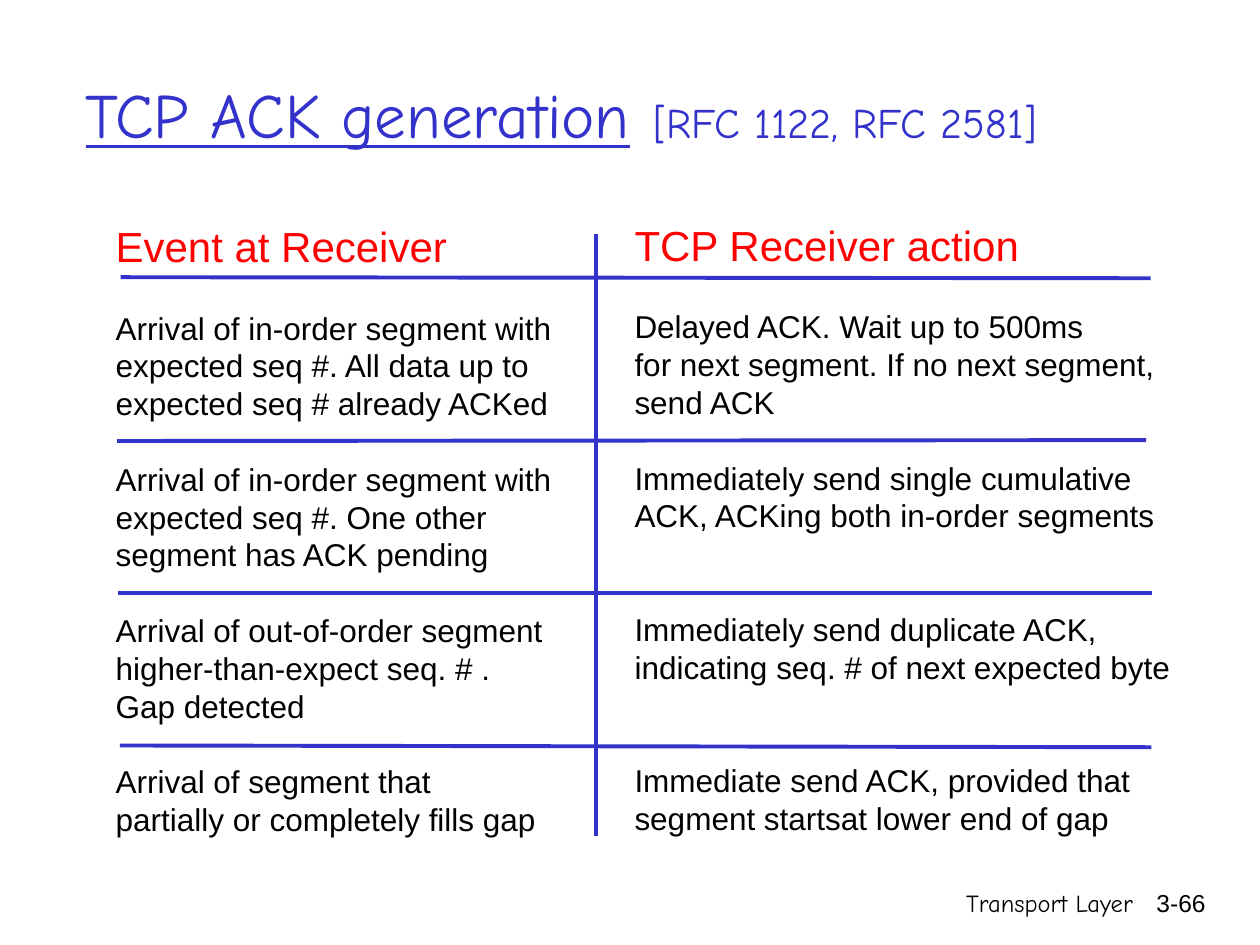
from lxml import etree
from pptx import Presentation
from pptx.dml.color import RGBColor
from pptx.enum.shapes import MSO_CONNECTOR
from pptx.enum.text import MSO_ANCHOR, MSO_AUTO_SIZE, PP_ALIGN
from pptx.oxml.ns import qn
from pptx.util import Pt

STRAIGHT = MSO_CONNECTOR.STRAIGHT
MIDDLE = MSO_ANCHOR.MIDDLE
GROW = MSO_AUTO_SIZE.SHAPE_TO_FIT_TEXT
RIGHT = PP_ALIGN.RIGHT

HAND, SANS = "Comic Neue", "Arial"
BLUE, RED, BLACK = "3333CC", "FF0000", "000000"
HEADING_SIZE, BODY_SIZE = 24, 18
LEADING = 1.2
LINES_PER_ROW = 4

EVENTS = [
    ["Arrival of in-order segment with", "expected seq #. All data up to",
     "expected seq # already ACKed"],
    ["Arrival of in-order segment with", "expected seq #. One other",
     "segment has ACK pending"],
    ["Arrival of out-of-order segment", "higher-than-expect seq. # .",
     "Gap detected"],
    ["Arrival of segment that", "partially or completely fills gap"],
]
ACTIONS = [
    ["Delayed ACK. Wait up to 500ms", "for next segment. If no next segment,",
     "send ACK"],
    ["Immediately send single cumulative", "ACK, ACKing both in-order segments"],
    ["Immediately send duplicate ACK,", "indicating seq. # of next expected byte"],
    ["Immediate send ACK, provided that", "segment startsat lower end of gap"],
]
RULES = [
    (69, 158.4, 657.5, 159),
    (67, 252, 655, 251.5),
    (67.5, 339, 658.5, 339),
    (68.5, 426, 658, 427),
    (340.5, 134, 340.5, 477.5),
]


def color(value):
    return RGBColor.from_string(value)


def add_frame(page, left, top, width, height):
    box = page.shapes.add_textbox(Pt(left), Pt(top), Pt(width), Pt(height))
    frame = box.text_frame
    frame.word_wrap = True
    return frame


def add_span(para, text, size, font, ink):
    span = para.add_run()
    span.text = text
    span.font.size = Pt(size)
    span.font.name = font
    span.font.color.rgb = color(ink)
    return span


def set_leading(para, size):
    para.line_spacing = Pt(round(size * LEADING, 2))


def add_title(page, left, top, width, height):
    frame = add_frame(page, left, top, width, height)
    frame.vertical_anchor = MIDDLE
    para = frame.paragraphs[0]
    set_leading(para, 40)
    add_span(para, "TCP ACK generation", 36, HAND, BLUE).font.underline = True
    add_span(para, " ", 40, HAND, BLUE)
    add_span(para, "[RFC 1122, RFC 2581]", 24, HAND, BLUE)


def add_column(page, left, top, width, height, heading, rows):
    """Stack a heading and rows that all start on a fixed line pitch."""
    frame = add_frame(page, left, top, width, height)
    frame.word_wrap = False
    frame.auto_size = GROW
    para = frame.paragraphs[0]
    set_leading(para, HEADING_SIZE)
    add_span(para, heading, HEADING_SIZE, SANS, RED)
    empty_lines = 1
    for lines in rows:
        for index, line in enumerate(lines):
            para = frame.add_paragraph()
            set_leading(para, BODY_SIZE)
            if index == 0:
                para.space_before = Pt(round(empty_lines * BODY_SIZE * LEADING, 2))
            add_span(para, line, BODY_SIZE, SANS, BLACK)
        empty_lines = LINES_PER_ROW - len(lines)


def add_rule(page, x1, y1, x2, y2):
    rule = page.shapes.add_connector(STRAIGHT, Pt(x1), Pt(y1), Pt(x2), Pt(y2))
    rule.line.color.rgb = color(BLUE)
    rule.line.width = Pt(2.25)
    etree.SubElement(rule._element.spPr, qn("a:effectLst"))


def add_footer(page, left, top, width, height, text, font):
    para = add_frame(page, left, top, width, height).paragraphs[0]
    para.alignment = RIGHT
    set_leading(para, 14)
    add_span(para, text, 14, font, BLACK)


def main():
    deck = Presentation()
    deck.slide_width, deck.slide_height = Pt(720), Pt(540)
    page = deck.slides.add_slide(deck.slide_layouts[6])
    add_footer(page, 426, 504, 228.5, 36, "Transport Layer", HAND)
    add_footer(page, 643, 504, 53, 36, "3-66", SANS)
    add_title(page, 42, 18, 612, 90)
    add_column(page, 59, 122.4, 263.5, 403, "Event at Receiver", EVENTS)
    add_column(page, 355.5, 121.7, 320.5, 403, "TCP Receiver action", ACTIONS)
    for ends in RULES:
        add_rule(page, *ends)
    deck.save("out.pptx")


if __name__ == "__main__":
    main()
